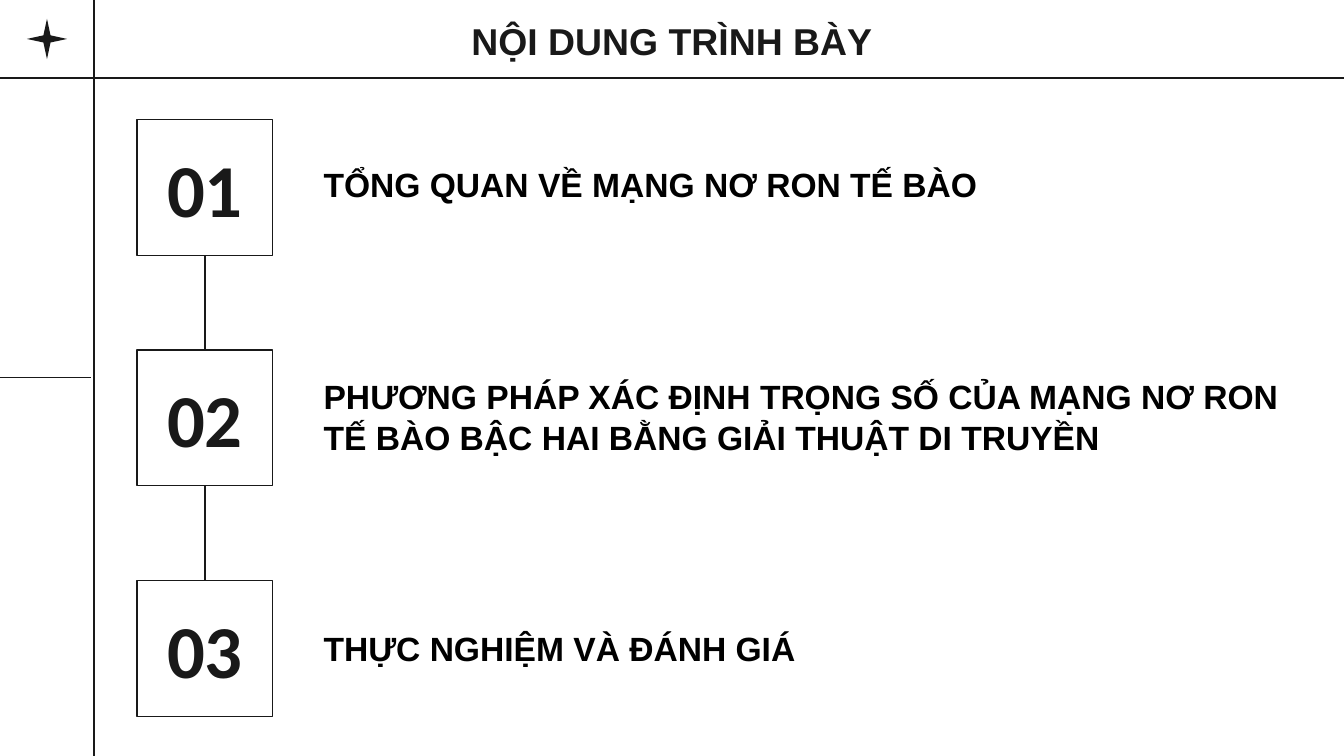
"""Build the agenda slide: a title, frame lines and three numbered topics."""
from lxml import etree
from pptx import Presentation
from pptx.dml.color import RGBColor
from pptx.enum import shapes, text
from pptx.oxml.ns import qn
from pptx.util import Inches, Pt

INK = "191919"
SLIDE_WIDTH = 10
SLIDE_HEIGHT = SLIDE_WIDTH * 9 / 16
BOX_LEFT, BOX_TOP, BOX_SIZE, LAST_BOX_TOP = 1.02, 0.89, 1.01, 4.32
TOPICS = [
    ("TỔNG QUAN VỀ MẠNG NƠ RON TẾ BÀO", 1.17, 5.1, 0.4, False),
    ("PHƯƠNG PHÁP XÁC ĐỊNH TRỌNG SỐ CỦA MẠNG NƠ RON TẾ BÀO BẬC HAI "
     "BẰNG GIẢI THUẬT DI TRUYỀN", 2.75, 7.57, 0.71, True),
    ("THỰC NGHIỆM VÀ ĐÁNH GIÁ", 4.62, 3.87, 0.4, False),
]
BOX_STEP = (LAST_BOX_TOP - BOX_TOP) / (len(TOPICS) - 1)


def write(shape, words, color, align, frame_format, font_format):
    frame = shape.text_frame
    frame.text = words
    for name, value in frame_format.items():
        setattr(frame, name, value)
    paragraph = frame.paragraphs[0]
    paragraph.alignment = align
    font = paragraph.runs[0].font
    for name, value in font_format.items():
        setattr(font, name, value)
    font.color.rgb = RGBColor.from_string(color)


def draw_line(x1, y1, x2, y2):
    line = slide.shapes.add_connector(
        shapes.MSO_CONNECTOR.STRAIGHT, Inches(x1), Inches(y1), Inches(x2), Inches(y2))
    line.line.color.rgb = RGBColor.from_string(INK)
    line.line.width = Pt(0.75)
    etree.SubElement(line._element.spPr, qn("a:effectLst"))
    return line


deck = Presentation()
deck.slide_width, deck.slide_height = Inches(SLIDE_WIDTH), Inches(SLIDE_HEIGHT)
slide = deck.slides.add_slide(deck.slide_layouts[5])

for ends in [(0, 2.81, 0.68, 2.81), (0, 0.58, SLIDE_WIDTH, 0.58),
             (0.7, 0, 0.7, SLIDE_HEIGHT)]:
    draw_line(*ends)

star = slide.shapes.add_shape(
    shapes.MSO_SHAPE.STAR_4_POINT, Inches(0.2), Inches(0.14), Inches(0.3), Inches(0.3))
star.adjustments[0] = 0.125
star.shadow.inherit = False
star.fill.solid()
star.fill.fore_color.rgb = RGBColor.from_string(INK)
star.line.fill.background()

margins = {f"margin_{side}": Inches(0.1) for side in ("left", "top", "right", "bottom")}
title = slide.shapes.title
title.left, title.top, title.width, title.height = map(Inches, (3.31, 0.08, 3.38, 0.49))
write(title, "NỘI DUNG TRÌNH BÀY", INK, text.PP_ALIGN.CENTER,
      {**margins, "vertical_anchor": text.MSO_ANCHOR.BOTTOM, "word_wrap": True,
       "auto_size": text.MSO_AUTO_SIZE.NONE},
      {"size": Pt(20), "name": "Arial", "bold": True})

number_boxes = []
for index, (topic, top, width, height, wrap) in enumerate(TOPICS):
    number_box = slide.shapes.add_shape(
        shapes.MSO_SHAPE.RECTANGLE, Inches(BOX_LEFT), Inches(BOX_TOP + index * BOX_STEP),
        Inches(BOX_SIZE), Inches(BOX_SIZE))
    number_box.shadow.inherit = False
    number_box.fill.background()
    number_box.line.color.rgb = RGBColor.from_string(INK)
    number_box.line.width = Pt(0.75)
    write(number_box, f"{index + 1:02}", INK, text.PP_ALIGN.CENTER,
          {**margins, "vertical_anchor": text.MSO_ANCHOR.MIDDLE, "word_wrap": True},
          {"size": Pt(40), "name": "Calibri", "bold": True})
    number_boxes.append(number_box)

    topic_box = slide.shapes.add_textbox(
        Inches(2.31), Inches(top), Inches(width), Inches(height))
    write(topic_box, topic, "000000", text.PP_ALIGN.LEFT,
          {"word_wrap": wrap, "auto_size": text.MSO_AUTO_SIZE.SHAPE_TO_FIT_TEXT},
          {"size": Pt(18), "name": "Arial", "bold": True})

for upper, lower in zip(number_boxes, number_boxes[1:]):
    link = draw_line(0, 0, 0, 0)
    link.begin_connect(upper, 2)
    link.end_connect(lower, 0)

deck.save("out.pptx")
